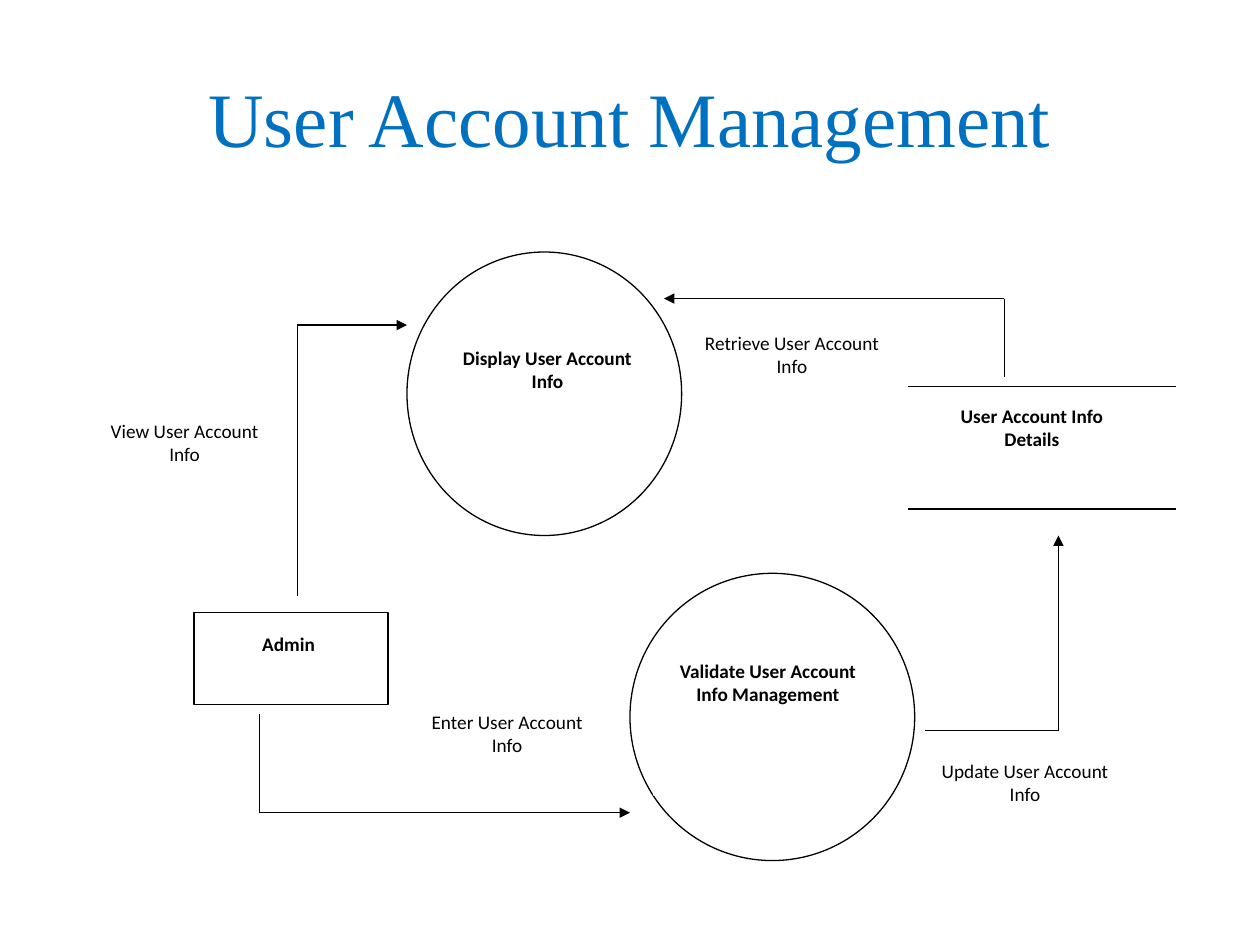
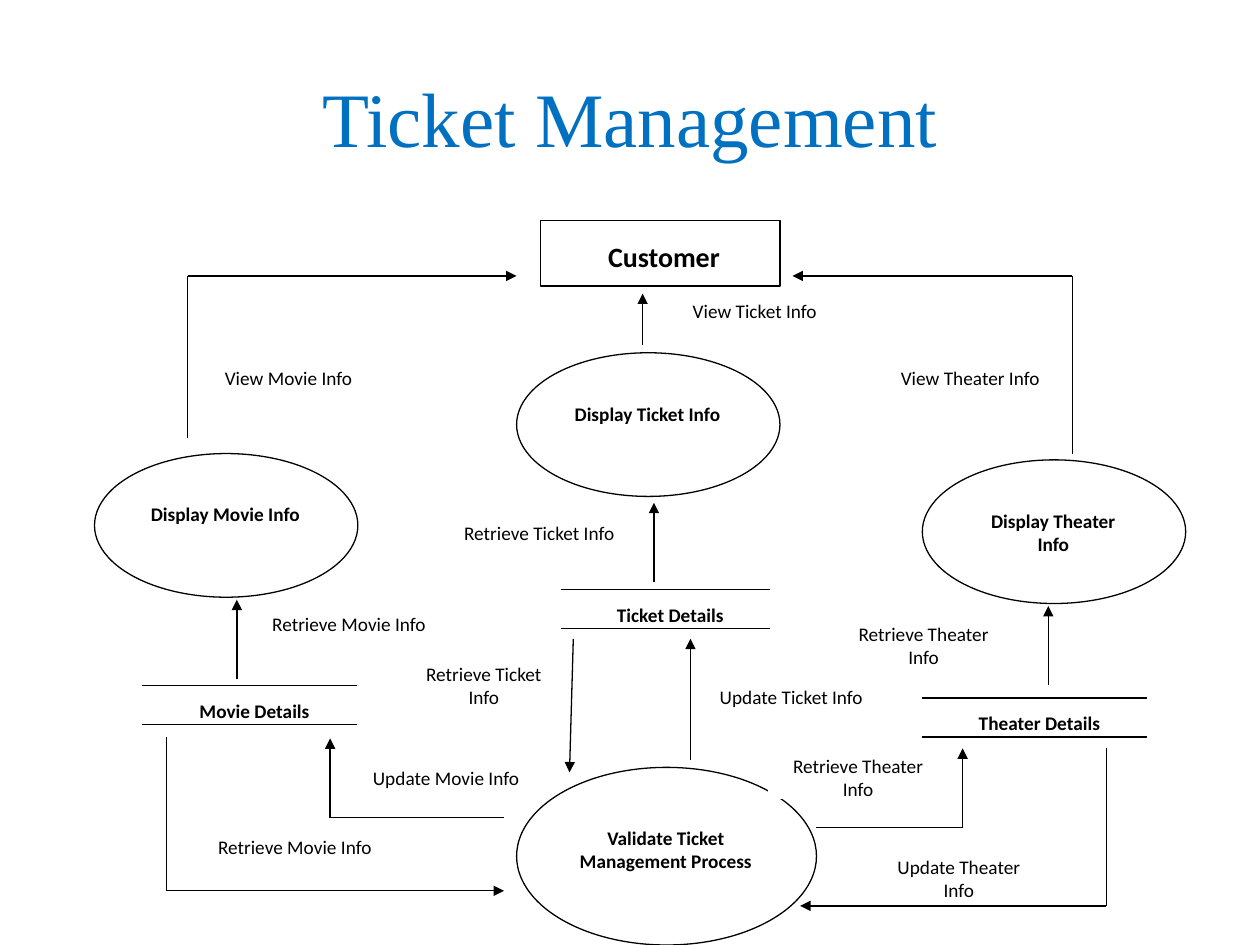
from dataclasses import dataclass
from itertools import pairwise

from lxml import etree
from pptx import Presentation
from pptx import util as u
from pptx.dml.color import RGBColor
from pptx.enum import shapes, text
from pptx.oxml.ns import qn


@dataclass(frozen=True)
class Theme:
    ink: RGBColor = RGBColor(0, 0, 0)
    paper: RGBColor = RGBColor(255, 255, 255)
    accent: RGBColor = RGBColor(0, 0x70, 0xC0)
    title_font: str = "Times New Roman"
    body_font: str = "Calibri"
    title_size: float = 44
    entity_size: float = 16
    body_size: float = 11
    line_width: float = 0.75


T = Theme()
RECT = shapes.MSO_SHAPE.RECTANGLE
OVAL = shapes.MSO_SHAPE.OVAL


def write(tf, content, font, size, color, bold=False):
    tf.word_wrap = True
    p = tf.paragraphs[0]
    p.alignment = text.PP_ALIGN.CENTER
    r = p.add_run()
    r.text = content
    r.font.name = font
    r.font.size = u.Pt(size)
    r.font.color.rgb = color
    r.font.bold = bold
    return p


def new_slide(prs, title):
    s = prs.slides.add_slide(prs.slide_layouts[6])
    tf = s.shapes.add_textbox(*map(u.Inches, (0.5, 0.3, 9, 1.25))).text_frame
    tf.vertical_anchor = text.MSO_ANCHOR.MIDDLE
    write(tf, title, T.title_font, T.title_size, T.accent)
    return s


def outline(s, kind, box, edge=T.ink):
    sp = s.shapes.add_shape(kind, *map(u.Inches, box))
    sp.shadow.inherit = False
    sp.fill.solid()
    sp.fill.fore_color.rgb = T.paper
    sp.line.color.rgb = edge
    sp.line.width = u.Pt(T.line_width)
    return sp


def label(s, content, box, bold=False, size=T.body_size):
    tf = outline(s, RECT, box, T.paper).text_frame
    tf.vertical_anchor = text.MSO_ANCHOR.TOP
    p = write(tf, content, T.body_font, size, T.ink, bold)
    p.space_after = u.Pt(10)


def node(s, kind, box, content, text_box, size=T.body_size):
    outline(s, kind, box)
    label(s, content, text_box, True, size)


def line(s, start, end, arrow=False):
    c = s.shapes.add_connector(
        shapes.MSO_CONNECTOR.STRAIGHT, *map(u.Inches, (*start, *end)))
    c.line.color.rgb = T.ink
    c.line.width = u.Pt(T.line_width)
    if arrow:
        etree.SubElement(c.line._get_or_add_ln(), qn("a:tailEnd"), type="triangle")
    etree.SubElement(c._element.spPr, qn("a:effectLst"))


def flow(s, *points):
    legs = list(pairwise(points))
    for i, (start, end) in enumerate(legs, 1):
        line(s, start, end, arrow=i == len(legs))


def store(s, x, y, w, h, content, text_box):
    label(s, content, text_box, True)
    for rail in (y, y + h):
        line(s, (x, rail), (x + w, rail))


def user_account_slide(prs):
    s = new_slide(prs, "User Account Management")
    node(s, OVAL, (5, 4.55, 2.26, 2.28),
         "Validate User Account Info Management", (5.19, 5.18, 1.81, 1.13))
    node(s, OVAL, (3.23, 2, 2.18, 2.25),
         "Display User Account Info", (3.44, 2.7, 1.81, 0.92))
    node(s, RECT, (1.54, 4.86, 1.54, 0.73), "Admin", (1.62, 4.97, 1.34, 0.5))
    store(s, 7.21, 3.07, 2.12, 0.97,
          "User Account Info Details", (7.33, 3.16, 1.72, 0.78))

    flow(s, (2.36, 4.73), (2.36, 2.58), (3.23, 2.58))
    flow(s, (2.06, 5.67), (2.06, 6.45), (5, 6.45))
    flow(s, (7.97, 2.99), (7.97, 2.37), (5.27, 2.37))
    flow(s, (7.34, 5.8), (8.4, 5.8), (8.4, 4.25))

    for verb, x, y in (("View", 0.67, 3.28), ("Enter", 3.23, 5.59),
                       ("Retrieve", 5.49, 2.58), ("Update", 7.34, 5.98)):
        label(s, f"{verb} User Account Info", (x, y, 1.59, 0.76))


def ticket_slide(prs):
    s = new_slide(prs, "Ticket Management")
    node(s, OVAL, (4.1, 6.09, 2.38, 1.41),
         "Validate Ticket Management Process", (4.45, 6.51, 1.67, 0.63))
    for topic, x, y in (("Ticket", 4.1, 2.8), ("Movie", 0.75, 3.6),
                        ("Theater", 7.32, 3.65)):
        node(s, OVAL, (x, y, 2.09, 1.14),
             f"Display {topic} Info", (x + 0.31, y + 0.34, 1.46, 0.51))
    for topic, x, y, w in (("Movie", 1.13, 5.44, 1.7), ("Theater", 7.32, 5.54, 1.78),
                           ("Ticket", 4.45, 4.68, 1.66)):
        store(s, x, y, w, 0.31, f"{topic} Details", (x, y + 0.06, w + 0.08, 0.26))
    node(s, RECT, (4.29, 1.75, 1.9, 0.52),
         "Customer", (4.45, 1.85, 1.64, 0.33), T.entity_size)

    flow(s, (4.55, 5.07), (4.52, 6.13))
    for x, bottom, top in ((5.48, 6.03, 5.07), (5.19, 4.62, 3.99), (8.32, 5.44, 4.81),
                           (1.88, 5.39, 4.76), (5.1, 2.74, 2.33)):
        flow(s, (x, bottom), (x, top))
    flow(s, (8.78, 5.94), (8.78, 7.19), (6.35, 7.19))
    flow(s, (1.32, 5.85), (1.32, 7.07), (4, 7.07))
    flow(s, (6.48, 6.57), (7.64, 6.57), (7.64, 5.94))
    flow(s, (4, 6.49), (2.62, 6.49), (2.62, 5.86))
    flow(s, (8.51, 3.6), (8.51, 2.19), (6.29, 2.19))
    flow(s, (1.49, 3.48), (1.49, 2.19), (4.1, 2.19))

    for action, x, y in (
        ("View Ticket", 5.28, 2.33), ("View Movie", 1.58, 2.86),
        ("View Theater", 6.99, 2.86), ("Retrieve Ticket", 3.57, 4.09),
        ("Retrieve Movie", 2.06, 4.81), ("Retrieve Theater", 6.62, 4.89),
        ("Update Movie", 2.83, 6.03), ("Retrieve Movie", 1.63, 6.58),
        ("Retrieve Theater", 6.1, 5.94), ("Update Theater", 6.9, 6.74),
        ("Update Ticket", 5.57, 5.39),
    ):
        label(s, f"{action} Info", (x, y, 1.42, 0.4))
    label(s, "Retrieve Ticket Info", (3.22, 5.21, 1.24, 0.4))


def main():
    prs = Presentation()
    prs.slide_width, prs.slide_height = u.Inches(10), u.Inches(7.5)
    user_account_slide(prs)
    ticket_slide(prs)
    prs.save("out.pptx")


if __name__ == "__main__":
    main()
